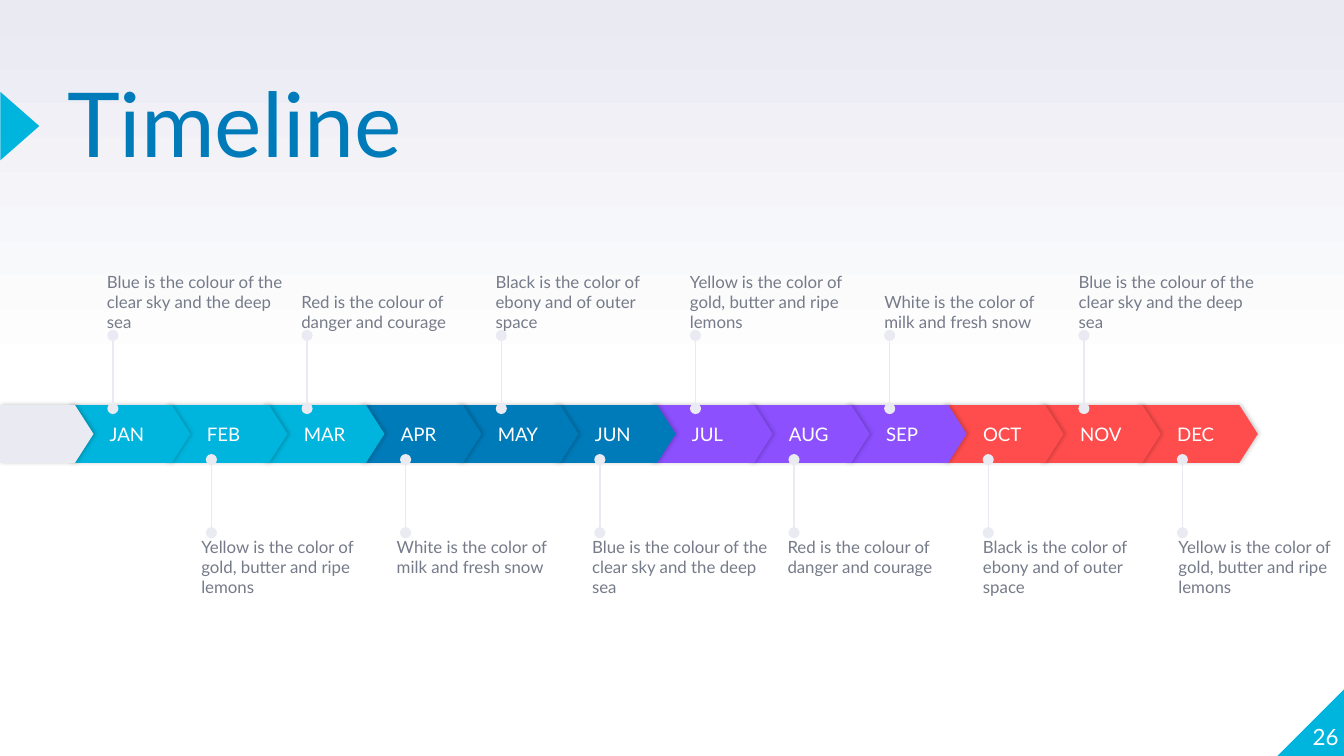
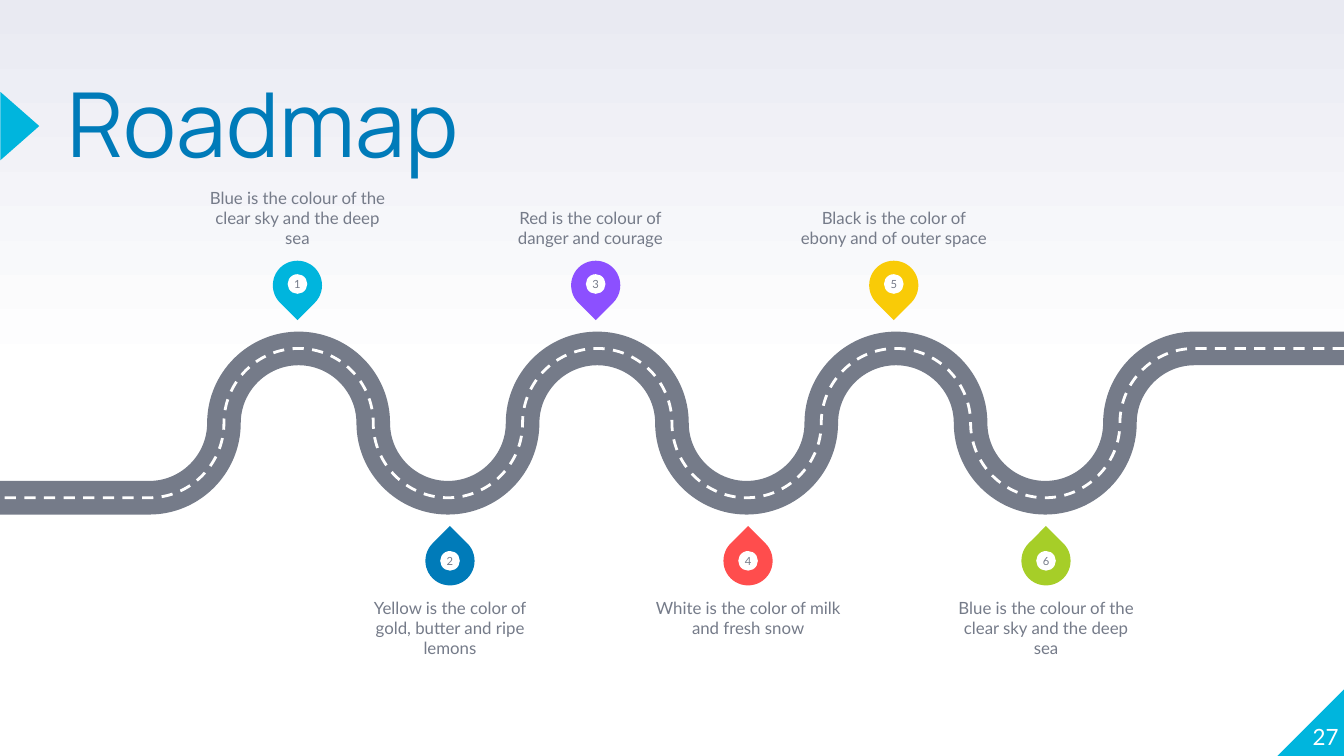
"""Build a monthly timeline slide and a winding roadmap slide."""
from lxml import etree
from pptx import Presentation
from pptx.dml.color import RGBColor
from pptx.enum.dml import MSO_LINE
from pptx.enum.shapes import MSO_CONNECTOR, MSO_SHAPE
from pptx.enum.text import MSO_ANCHOR, MSO_AUTO_SIZE, PP_ALIGN
from pptx.oxml.ns import qn
from pptx.util import Inches, Pt

TOP, MIDDLE, BOTTOM = MSO_ANCHOR.TOP, MSO_ANCHOR.MIDDLE, MSO_ANCHOR.BOTTOM
LEFT, CENTER, RIGHT = PP_ALIGN.LEFT, PP_ALIGN.CENTER, PP_ALIGN.RIGHT
CHEVRON, TEARDROP, OVAL = MSO_SHAPE.PENTAGON, MSO_SHAPE.TEAR, MSO_SHAPE.OVAL
CORNER, ARROW = MSO_SHAPE.RIGHT_TRIANGLE, MSO_SHAPE.ISOSCELES_TRIANGLE
STRAIGHT, DASH = MSO_CONNECTOR.STRAIGHT, MSO_LINE.DASH

WIDTH = Inches(10)
HEIGHT = WIDTH * 9 // 16
UNIT = WIDTH / 100
ROAD_COLUMN = WIDTH / 18

COLORS = {
    "cyan": "00B5DD", "blue": "007BB9", "purple": "8C50FF", "red": "FF4D4D",
    "yellow": "F9CB07", "green": "A6CE28", "grey": "757B89", "pale": "E9EAF2",
    "white": "FFFFFF", "black": "000000",
}
RGB = {name: RGBColor.from_string(value) for name, value in COLORS.items()}

STYLES = {
    "title": ("blue", {"name": "Lato", "size": Pt(48)}),
    "page": ("white", {"name": "Lato", "size": Pt(12)}),
    "month": ("white", {"name": "Lato", "size": Pt(10)}),
    "note": ("grey", {"name": "Lato", "size": Pt(9)}),
    "stop": ("grey", {"name": "Lato", "size": Pt(6)}),
}

SKY = "Blue is the colour of the clear sky and the deep sea"
DANGER = "Red is the colour of danger and courage"
EBONY = "Black is the color of ebony and of outer space"
GOLD = "Yellow is the color of gold, butter and ripe lemons"
MILK = "White is the color of milk and fresh snow"


def add_block(shapes, kind, box, fill=None):
    """Add a plain shape, or a text box when kind is None, in grid units."""
    spot = [round(length * UNIT) for length in box]
    if kind is None:
        return shapes.add_textbox(*spot)
    block = shapes.add_shape(kind, *spot)
    block.shadow.inherit = False
    block.fill.solid()
    block.fill.fore_color.rgb = RGB[fill]
    block.line.fill.background()
    return block


def write(block, text, style, anchor=TOP, align=LEFT, indent=0):
    """Fill a shape with one formatted paragraph and return the paragraph."""
    frame = block.text_frame
    layout = {
        "word_wrap": True, "auto_size": MSO_AUTO_SIZE.NONE,
        "vertical_anchor": anchor, "margin_left": round(indent * UNIT),
        "margin_top": 0, "margin_right": 0, "margin_bottom": 0,
    }
    for key, value in layout.items():
        setattr(frame, key, value)
    paragraph = frame.paragraphs[0]
    paragraph.alignment = align
    run = paragraph.add_run()
    run.text = text
    color, font = STYLES[style]
    for key, value in font.items():
        setattr(run.font, key, value)
    run.font.color.rgb = RGB[color]
    return paragraph


deck = Presentation()
deck.slide_width, deck.slide_height = WIDTH, HEIGHT

slides = []
for heading, typeface, page in (("Timeline", "Lato", "26"), ("Roadmap", "Manrope", "27")):
    slide = deck.slides.add_slide(deck.slide_layouts[5])
    slides.append(slide)
    backdrop = slide.background.fill
    backdrop.gradient()
    backdrop.gradient_angle = 90
    for stop, (position, color) in zip(backdrop.gradient_stops, ((0.5, "white"), (1, "pale"))):
        stop.position = position
        stop.color.rgb = RGB[color]

    corner = add_block(slide.shapes, CORNER, (95, 51.2, 5.1, 5.1), "cyan")
    corner.element.spPr.find(qn("a:xfrm")).set("flipH", "1")
    add_block(slide.shapes, ARROW, (-1.08, 7.93, 5.1, 2.9), "cyan").rotation = 90

    title = slide.shapes.title
    for side, length in {"left": 5, "top": 6.6, "width": 61.7, "height": 11.8}.items():
        setattr(title, side, round(length * UNIT))
    line = write(title, heading, "title")
    line.line_spacing = 0.8
    line.runs[0].font.name = typeface
    write(add_block(slide.shapes, None, (94.6, 50.7, 5, 5.1)), page, "page", BOTTOM, RIGHT)

timeline, roadmap = (slide.shapes for slide in slides)

MONTHS = ("JAN", "FEB", "MAR", "APR", "MAY", "JUN", "JUL", "AUG", "SEP", "OCT", "NOV", "DEC")
QUARTERS = ("cyan", "blue", "purple", "red")
MONTH_STEP = 7.22

band = []
for index in reversed(range(len(MONTHS))):
    chevron = add_block(timeline, CHEVRON, (5.17 + index * MONTH_STEP, 30.14, 9, 4.3), QUARTERS[index // 3])
    write(chevron, MONTHS[index], "month", MIDDLE, indent=3)
    band.append(chevron)
band.append(add_block(timeline, CHEVRON, (0, 30.14, 6.96, 4.3), "pale"))

for chevron in band:
    chevron.adjustments[0] = 0.32
    effects = chevron.element.spPr.find(qn("a:effectLst"))
    shade = etree.SubElement(effects, qn("a:outerShdw"), blurRad=str(Pt(2.2)),
                             dist=str(Pt(0.8)), dir="0", rotWithShape="0")
    tint = etree.SubElement(shade, qn("a:srgbClr"), val=COLORS["black"])
    etree.SubElement(tint, qn("a:alpha"), val="20000")

NOTE_ROWS = (
    (8.4, 30.4, 24.96, 7.96, 14.46, 18.9, BOTTOM, (SKY, DANGER, EBONY, GOLD, MILK, SKY)),
    (15.73, 39.64, 34.2, 14.98, 14.54, 39.9, TOP, (GOLD, MILK, SKY, DANGER, EBONY, GOLD)),
)
for pin_left, start, end, note_left, note_step, note_top, anchor, notes in NOTE_ROWS:
    for index, note in enumerate(notes):
        pin_x = pin_left + index * 14.45
        pin = timeline.add_connector(
            STRAIGHT, *(round(length * UNIT) for length in (pin_x, start, pin_x, end)))
        pin.line.width = Pt(0.75)
        pin.line.color.rgb = RGB["pale"]
        outline = pin.element.spPr.find(qn("a:ln"))
        for tip in ("a:headEnd", "a:tailEnd"):
            etree.SubElement(outline, qn(tip), type="oval")
        etree.SubElement(pin.element.spPr, qn("a:effectLst"))
        left = note_left + index * note_step
        write(add_block(timeline, None, (left, note_top, min(13.7, 99.1 - left), 5.8)),
              note, "note", anchor)

ROAD_TOP = 25.93 * UNIT
BEND = 0.55
bends = [(18, 0), (16, 0)]
for crest in range(16, 2, -2):
    row = 0 if crest % 4 == 0 else 2
    lean = (row - 1) * BEND
    bends += [(crest - BEND, row), (crest - 1, 1 + lean), (crest - 1, 1),
              (crest - 1, 1 - lean), (crest - 2 + BEND, 2 - row), (crest - 2, 2 - row)]
bends.append((0, 2))
course = [(round(x * ROAD_COLUMN), round(ROAD_TOP + y * ROAD_COLUMN)) for x, y in bends]

for color, thickness, dash in (("grey", 18, None), ("white", 1.5, DASH)):
    builder = roadmap.build_freeform(*course[0])
    builder.add_line_segments(course[1:], close=False)
    road = builder.convert_to_shape()
    road.shadow.inherit = False
    road.fill.background()
    road.line.color.rgb = RGB[color]
    road.line.width = Pt(thickness)
    road.line.dash_style = dash
    segments = list(road.element.iter(qn("a:lnTo")))[1:-1]
    for first, second, third in zip(segments[::3], segments[1::3], segments[2::3]):
        curve = etree.Element(qn("a:cubicBezTo"))
        first.addprevious(curve)
        for segment in (first, second, third):
            curve.append(segment[0])
            segment.getparent().remove(segment)

STOPS = (
    ("1", 22.13, "cyan", SKY, 0), ("2", 33.48, "blue", GOLD, 0),
    ("3", 44.32, "purple", DANGER, -0.4), ("4", 55.66, "red", MILK, 0),
    ("5", 66.5, "yellow", EBONY, 0), ("6", 77.83, "green", SKY, 0),
)
SIDES = (
    {"drop": 19.4, "dot": 20.4, "turn": 135, "note": 12.64, "anchor": BOTTOM},
    {"drop": 39.9, "dot": 41, "turn": 315, "note": 44.45, "anchor": TOP},
)
for index, (number, center, color, note, shift) in enumerate(STOPS):
    side = SIDES[index % 2]
    marker = roadmap.add_group_shape().shapes
    drop = add_block(marker, TEARDROP, (center - 1.83, side["drop"], 3.66, 3.66), color)
    drop.rotation = side["turn"]
    dot = add_block(marker, OVAL, (center - 0.73, side["dot"], 1.46, 1.46), "white")
    write(dot, number, "stop", MIDDLE, CENTER)
    write(add_block(roadmap, None, (center + shift - 7.05, side["note"], 14.1, 5.8)),
          note, "note", side["anchor"], CENTER)

deck.save("out.pptx")
